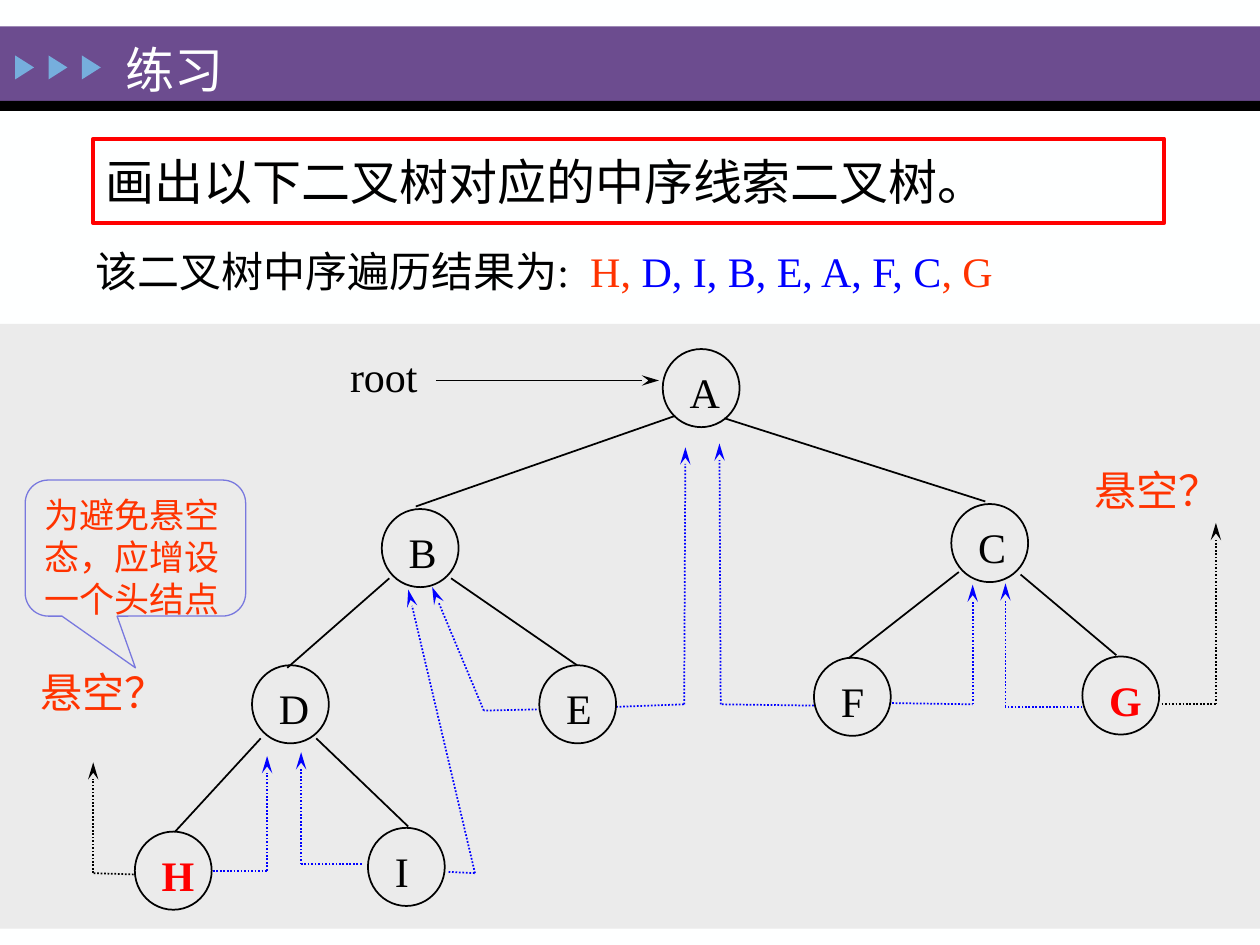
from dataclasses import dataclass

from lxml import etree
from pptx import Presentation
from pptx.dml.color import RGBColor
from pptx.enum.dml import MSO_LINE
from pptx.enum.shapes import MSO_CONNECTOR, MSO_SHAPE
from pptx.enum.text import MSO_ANCHOR, MSO_AUTO_SIZE, PP_ALIGN
from pptx.oxml.ns import qn
from pptx.util import Inches, Pt

RECTANGLE = MSO_SHAPE.RECTANGLE
TRIANGLE = MSO_SHAPE.ISOSCELES_TRIANGLE
OVAL = MSO_SHAPE.OVAL
CALLOUT = MSO_SHAPE.ROUNDED_RECTANGULAR_CALLOUT
STRAIGHT = MSO_CONNECTOR.STRAIGHT
DOTTED = MSO_LINE.ROUND_DOT
TOP, MIDDLE = MSO_ANCHOR.TOP, MSO_ANCHOR.MIDDLE
TITLE_ONLY = 5

# All positions are columns and rows of a grid with square cells.
COLUMNS, ROWS, CELL = 100, 75, 0.1


@dataclass(frozen=True)
class Theme:
    font: str = "Times New Roman"
    paper: str = "FEFFFF"
    band: str = "6C4C8F"
    marker: str = "76AEDD"
    panel: str = "EBEBEB"
    ink: str = "000000"
    end_node: str = "FF0000"
    warning: str = "FF3300"
    thread: str = "0000FF"
    callout: str = "7878DE"
    title_size: int = 28
    body_size: int = 24
    note_size: int = 20
    frame_width: float = 2.25
    line_width: float = 1
    callout_width: float = 0.75


THEME = Theme()

NODE_SIZE = (6.1, 6.2)
LETTER_OFFSET = (1.15, 0.9)
LETTER_SIZE = (4.5, 5.1)
NODES = {
    "A": (52.6, 27.7), "B": (30.3, 40.4), "C": (75.5, 40),
    "D": (20, 52.8), "E": (42.8, 52.8), "F": (64.6, 52.2),
    "G": (85.9, 52.1), "H": (10.7, 66), "I": (29.2, 65.7),
}
END_NODES = "HG"

BRANCHES = [
    ((53.6, 33), (33, 40.2)), ((57.5, 33.2), (78.2, 39.8)),
    ((30.9, 45.9), (22.8, 53)), ((35.8, 45.9), (45.8, 52.8)),
    ((76.1, 45.4), (67.4, 52.2)), ((81, 45.6), (88.6, 52)),
    ((20.7, 58.6), (13.9, 66)), ((25.1, 58.6), (32.4, 65.6)),
]

# Each thread runs from a node over an elbow to an arrow tip.
THREADS = [
    ((35.6, 69.2), (37.7, 69.3), (32.4, 46.8)),
    ((42.6, 56.3), (38.4, 56.4), (34.3, 46.6)),
    ((28.7, 68.6), (23.9, 68.6), (23.9, 59.7)),
    ((16.9, 69.1), (21.2, 69.1), (21.2, 60)),
    ((64.6, 56), (57.2, 55.9), (57.1, 35.2)),
    ((85.9, 56.1), (79.8, 56.1), (79.8, 46.3)),
    ((48.9, 56.1), (54.3, 55.9), (54.4, 35.5)),
    ((70.8, 55.8), (77.2, 55.9), (77.2, 46.4)),
]
DANGLING_THREADS = [
    ((10.6, 69.4), (7.4, 69.3), (7.4, 60.5)),
    ((92.2, 55.9), (96.5, 55.9), (96.5, 41.5)),
]


def grid(*cells):
    return [Inches(cell * CELL) for cell in cells]


def color(value):
    return RGBColor.from_string(value)


def apply_format(target, values):
    for name, value in values.items():
        setattr(target, name, value)


def write_text(shape, runs, size, bold=False, anchor=TOP, wrap=True):
    """Fill the shape with one left-aligned paragraph of (text, colour) runs."""
    frame = shape.text_frame
    apply_format(frame, {"word_wrap": wrap, "vertical_anchor": anchor,
                         "auto_size": MSO_AUTO_SIZE.NONE})
    paragraph = frame.paragraphs[0]
    paragraph.alignment = PP_ALIGN.LEFT
    for text, run_color in runs:
        run = paragraph.add_run()
        run.text = text
        apply_format(run.font, {"name": THEME.font, "size": Pt(size), "bold": bold})
        run.font.color.rgb = color(run_color)


def add_text(slide, box, runs, size=THEME.body_size, **options):
    write_text(slide.shapes.add_textbox(*grid(*box)), runs, size, **options)


def set_outline(shape, line_color, width):
    shape.line.color.rgb = color(line_color)
    shape.line.width = Pt(width)


def add_shape(slide, kind, box, fill=None, line=None, width=THEME.line_width):
    shape = slide.shapes.add_shape(kind, *grid(*box))
    shape.shadow.inherit = False
    if fill:
        shape.fill.solid()
        shape.fill.fore_color.rgb = color(fill)
    else:
        shape.fill.background()
    if line:
        set_outline(shape, line, width)
    else:
        shape.line.fill.background()
    return shape


def add_line(slide, start, end, line_color=THEME.ink, dotted=False, arrow=False):
    connector = slide.shapes.add_connector(STRAIGHT, *grid(*start, *end))
    set_outline(connector, line_color, THEME.line_width)
    if dotted:
        connector.line.dash_style = DOTTED
    if arrow:
        etree.SubElement(connector.line._get_or_add_ln(), qn("a:tailEnd"),
                         type="stealth", w="med", len="lg")
    etree.SubElement(connector._element.spPr, qn("a:effectLst"))


def add_thread(slide, points, line_color):
    start, elbow, tip = points
    add_line(slide, start, elbow, line_color, dotted=True)
    add_line(slide, elbow, tip, line_color, dotted=True, arrow=True)


def add_node(slide, letter, corner):
    is_end = letter in END_NODES
    add_shape(slide, OVAL, (*corner, *NODE_SIZE), line=THEME.ink)
    letter_corner = [base + offset for base, offset in zip(corner, LETTER_OFFSET)]
    letter_color = THEME.end_node if is_end else THEME.ink
    add_text(slide, (*letter_corner, *LETTER_SIZE), [(letter, letter_color)],
             bold=is_end, wrap=False)


def add_header(slide):
    add_shape(slide, RECTANGLE, (0, 2.1, COLUMNS, 5.9), THEME.band)
    add_shape(slide, RECTANGLE, (0, 8, COLUMNS, 0.8), THEME.ink)
    for index in range(3):
        marker = add_shape(slide, TRIANGLE, (1 + 2.65 * index, 4.6, 1.9, 1.5), THEME.marker)
        marker.rotation = 90
    add_text(slide, (9, 1.7, 25.6, 7.5), [("练习", THEME.paper)],
             THEME.title_size, anchor=MIDDLE)


def add_title(slide, text):
    title = slide.shapes.title
    box = grid(7.4, 11, 85, 6.7)
    apply_format(title, dict(zip(("left", "top", "width", "height"), box)))
    set_outline(title, THEME.end_node, THEME.frame_width)
    write_text(title, [(text, THEME.ink)], THEME.title_size, anchor=MIDDLE)


def add_tree(slide):
    for points in THREADS:
        add_thread(slide, points, THEME.thread)
    for points in DANGLING_THREADS:
        add_thread(slide, points, THEME.ink)
    for start, end in BRANCHES:
        add_line(slide, start, end)
    for letter, corner in NODES.items():
        add_node(slide, letter, corner)
    add_line(slide, (34.6, 30.2), (52.3, 30.2), arrow=True)
    add_text(slide, (26.8, 27.3, 7.4, 5.1), [("root", THEME.ink)], wrap=False)


def add_notes_on_tree(slide):
    for box in ((2.2, 52.4, 14.2, 5), (85.9, 36.4, 13.6, 5)):
        add_text(slide, box, [("悬空？", THEME.warning)])
    callout = add_shape(slide, CALLOUT, (2, 38.1, 17.5, 10.8), THEME.panel,
                        THEME.callout, THEME.callout_width)
    for index, value in enumerate((0, 0.88, 0.17)):
        callout.adjustments[index] = value
    write_text(callout, [("为避免悬空态，应增设一个头结点", THEME.warning)], THEME.note_size)


def main():
    presentation = Presentation()
    presentation.slide_width, presentation.slide_height = grid(COLUMNS, ROWS)
    slide = presentation.slides.add_slide(presentation.slide_layouts[TITLE_ONLY])
    slide.background.fill.solid()
    slide.background.fill.fore_color.rgb = color(THEME.paper)
    add_header(slide)
    add_title(slide, "画出以下二叉树对应的中序线索二叉树。")
    add_text(slide, (6.6, 19, 88.3, 5), [
        ("该二叉树中序遍历结果为:  ", THEME.ink), ("H, ", THEME.warning),
        ("D, I, B, E, A, F, C", THEME.thread), (", G", THEME.warning)])
    add_shape(slide, RECTANGLE, (0, 25.7, COLUMNS, 48), THEME.panel)
    add_tree(slide)
    add_notes_on_tree(slide)
    presentation.save("out.pptx")


if __name__ == "__main__":
    main()
